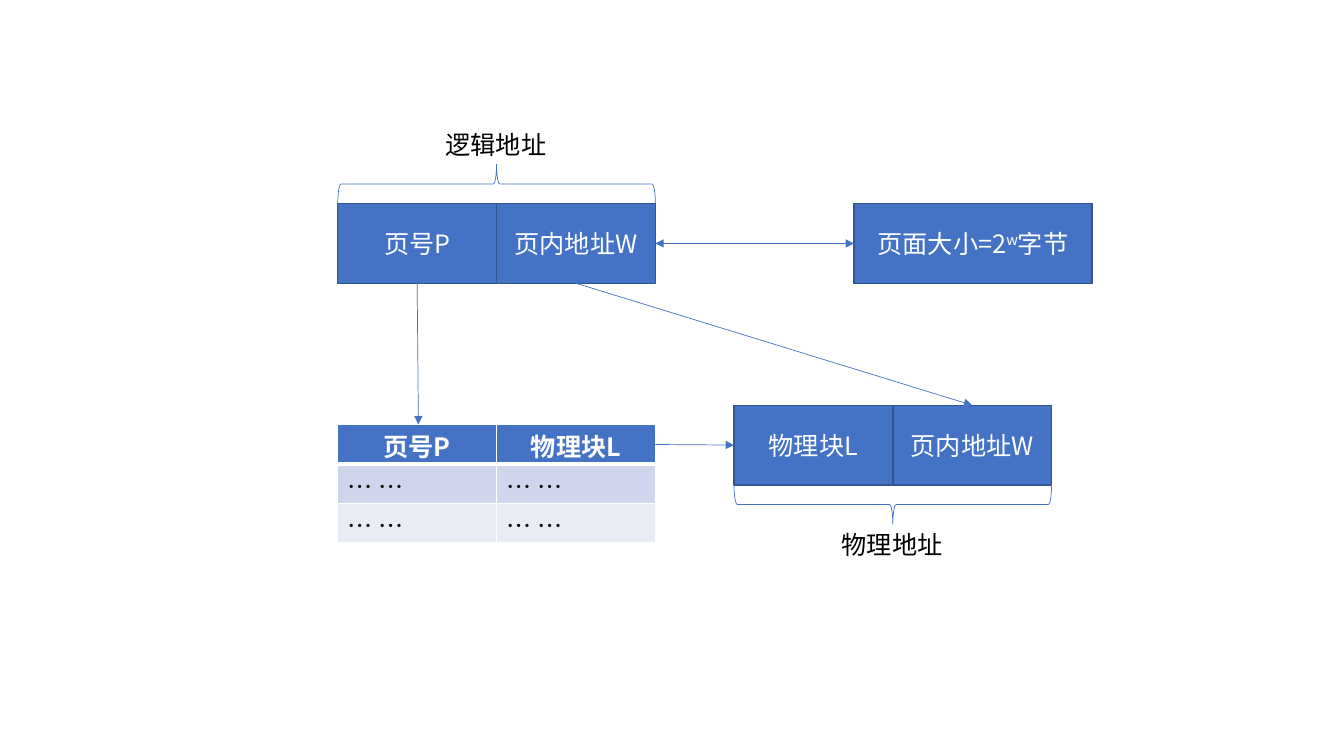
from lxml import etree
from pptx import Presentation
from pptx.dml.color import RGBColor
from pptx.enum.shapes import MSO_CONNECTOR, MSO_SHAPE
from pptx.enum.text import MSO_ANCHOR, MSO_AUTO_SIZE, PP_ALIGN
from pptx.oxml.ns import qn
from pptx.util import Inches, Pt

RECT, BRACE = MSO_SHAPE.RECTANGLE, MSO_SHAPE.RIGHT_BRACE
STRAIGHT = MSO_CONNECTOR.STRAIGHT
LEFT, CENTER = PP_ALIGN.LEFT, PP_ALIGN.CENTER
MIDDLE, TOP_ANCHOR = MSO_ANCHOR.MIDDLE, MSO_ANCHOR.TOP
NO_AUTOSIZE = MSO_AUTO_SIZE.NONE
TOP, WEST, BOTTOM, EAST = range(4)

FONT = "Noto Sans CJK SC"
BLUE, EDGE, WHITE, BLACK = "4472C4", "325491", "FFFFFF", "000000"
BANDS = ["CFD5EA", "E9EBF5"]
CELL_W, CELL_H, BRACE_H = 1.575, 0.79, 0.39
LABEL_W, LABEL_H = 1.21, 0.4


def rgb(value):
    return RGBColor.from_string(value)


class Diagram:
    def __init__(self, slide):
        self.s = slide

    def text(self, tf, runs, color, align=CENTER, bold=False):
        p = tf.paragraphs[0]
        p.alignment = align
        for content, baseline in runs:
            r = p.add_run()
            r.text = content
            for name, value in {"name": FONT, "size": Pt(18), "bold": bold}.items():
                setattr(r.font, name, value)
            r.font.color.rgb = rgb(color)
            rPr = r.font._element
            etree.SubElement(rPr, qn("a:ea"), typeface=FONT)
            if baseline:
                rPr.set("baseline", str(baseline))

    def box(self, parent, left, top, runs, width=CELL_W):
        sp = parent.add_shape(RECT, Inches(left), Inches(top), Inches(width), Inches(CELL_H))
        sp.shadow.inherit = False
        sp.fill.solid()
        sp.fill.fore_color.rgb = rgb(BLUE)
        sp.line.color.rgb = rgb(EDGE)
        sp.line.width = Pt(1)
        sp.text_frame.vertical_anchor = MIDDLE
        self.text(sp.text_frame, runs, WHITE)
        return sp

    def brace(self, parent, left, top, rotation):
        span = 2 * CELL_W
        sp = parent.add_shape(BRACE, Inches(left + (span - BRACE_H) / 2),
                              Inches(top + (BRACE_H - span) / 2), Inches(BRACE_H), Inches(span))
        sp.rotation = rotation
        sp.shadow.inherit = False
        sp.fill.background()
        sp.line.color.rgb = rgb(BLUE)
        sp.line.width = Pt(0.5)

    def label(self, parent, left, top, caption):
        sp = parent.add_textbox(Inches(left), Inches(top), Inches(LABEL_W), Inches(LABEL_H))
        tf = sp.text_frame
        for name, value in {"word_wrap": False, "auto_size": NO_AUTOSIZE,
                            "vertical_anchor": MIDDLE}.items():
            setattr(tf, name, value)
        self.text(tf, [(caption, 0)], BLACK, LEFT)

    def address(self, left, top, parts, caption, caption_at, brace_top, rotation):
        shapes = self.s.shapes.add_group_shape().shapes
        cells = [self.box(shapes, left + i * CELL_W, top, [(part, 0)])
                 for i, part in enumerate(parts)]
        self.brace(shapes, left, brace_top, rotation)
        self.label(shapes, *caption_at, caption)
        return cells

    def table(self, left, top, rows):
        count = len(rows[0])
        frame = self.s.shapes.add_table(len(rows), count, Inches(left), Inches(top),
                                        Inches(count * CELL_W), Inches(len(rows) * 0.39))
        for i, row in enumerate(rows):
            header = i == 0
            for j, content in enumerate(row):
                cell = frame.table.cell(i, j)
                for name, value in {"margin_top": Inches(0.03), "margin_bottom": 0,
                                    "vertical_anchor": TOP_ANCHOR}.items():
                    setattr(cell, name, value)
                self.borders(cell, {"L": 1, "R": 1, "T": 3 if i == 1 else 1,
                                    "B": 3 if header else 1})
                cell.fill.solid()
                cell.fill.fore_color.rgb = rgb(BLUE if header else BANDS[(i - 1) % 2])
                self.text(cell.text_frame, [(content, 0)], WHITE if header else BLACK,
                          CENTER if header else LEFT, header)

    def borders(self, cell, widths):
        tcPr = cell._tc.get_or_add_tcPr()
        for side, width in widths.items():
            ln = etree.SubElement(tcPr, qn("a:ln" + side), w=str(Pt(width)))
            fill = etree.SubElement(ln, qn("a:solidFill"))
            etree.SubElement(fill, qn("a:srgbClr"), val=WHITE)

    def arrow(self, start, end, source=None, target=None, ends=("tailEnd",)):
        c = self.s.shapes.add_connector(STRAIGHT, *map(Inches, start + end))
        if source:
            c.begin_connect(*source)
        if target:
            c.end_connect(*target)
        c.line.color.rgb = rgb(BLUE)
        c.line.width = Pt(0.5)
        spPr = c._element.spPr
        for name in ends:
            etree.SubElement(spPr.find(qn("a:ln")), qn("a:" + name), type="triangle")
        etree.SubElement(spPr, qn("a:effectLst"))


prs = Presentation()
prs.slide_width, prs.slide_height = Inches(13.33), Inches(7.5)
d = Diagram(prs.slides.add_slide(prs.slide_layouts[6]))

page, offset = d.address(3.35, 2.02, ["页号P", "页内地址W"], "逻辑地址", (4.32, 1.23), 1.63, 270)
page_size = d.box(d.s.shapes, 8.47, 2.02, [("页面大小=2", 0), ("w", 30000), ("字节", 0)], 2.36)
d.table(3.35, 4.21, [["页号P", "物理块L"], ["… …"] * 2, ["… …"] * 2])
block, physical_offset = d.address(7.28, 4.02, ["物理块L", "页内地址W"], "物理地址",
                                   (8.25, 5.2), 4.81, 90)

d.arrow((4.14, 2.81), (4.15, 4.21), source=(page, BOTTOM))
d.arrow((8.47, 2.42), (6.5, 2.42), (page_size, WEST), (offset, EAST), ("headEnd", "tailEnd"))
d.arrow((6.5, 4.41), (7.28, 4.41), target=(block, WEST))
d.arrow((5.71, 2.81), (9.65, 4.02), (offset, BOTTOM), (physical_offset, TOP))

prs.save("out.pptx")
